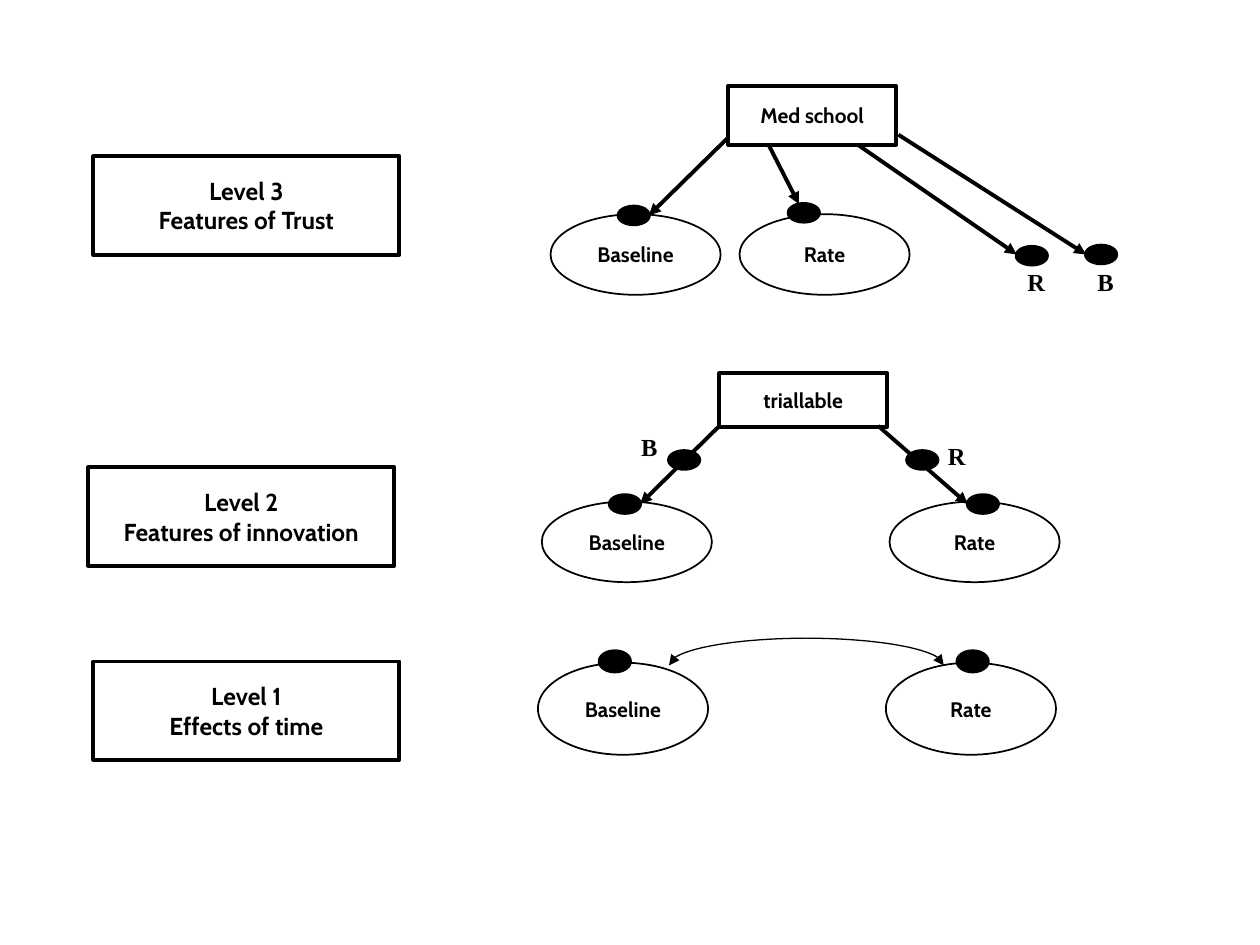
import math
from dataclasses import dataclass

from pptx import Presentation
from pptx.dml.color import RGBColor
from pptx.enum import shapes, text
from pptx.oxml.ns import qn
from pptx.util import Pt
from lxml import etree


@dataclass(frozen=True)
class Theme:
    ink: RGBColor = RGBColor(0, 0, 0)
    font: str = "Cabin"
    letter_font: str = "Times New Roman"
    large: float = 14
    small: float = 12
    heavy: float = 2.25
    medium: float = 1
    thin: float = 0.75


class Diagram:
    """Holds the theme and the slide being drawn; all lengths are points."""

    def __init__(self, slide, theme):
        self.shapes = slide.shapes
        self.theme = theme

    def label(self, sp, words, size, font):
        tf = sp.text_frame
        tf.word_wrap = False
        tf.auto_size = text.MSO_AUTO_SIZE.NONE
        tf.vertical_anchor = text.MSO_ANCHOR.MIDDLE
        tf.text = words
        for p in tf.paragraphs:
            p.alignment = text.PP_ALIGN.CENTER
            p.font.size = Pt(size)
            p.font.name = font
            p.font.bold = True
            p.font.color.rgb = self.theme.ink

    def stroke(self, line, width):
        line.color.rgb = self.theme.ink
        line.width = Pt(width)

    def outline(self, kind, x, y, w, h, width):
        sp = self.shapes.add_shape(kind, Pt(x), Pt(y), Pt(w), Pt(h))
        sp.shadow.inherit = False
        sp.fill.background()
        self.stroke(sp.line, width)
        return sp

    def box(self, words, x, y, w, h, size):
        sp = self.outline(shapes.MSO_SHAPE.RECTANGLE, x, y, w, h, self.theme.heavy)
        self.label(sp, words, size, self.theme.font)

    def outcome(self, words, x, y, h):
        sp = self.outline(shapes.MSO_SHAPE.OVAL, x, y, 97.2, h, self.theme.medium)
        self.label(sp, words, self.theme.small, self.theme.font)

    def dot(self, x, y, h=10.1):
        sp = self.outline(shapes.MSO_SHAPE.OVAL, x, y, 17.3, h, self.theme.heavy)
        sp.fill.solid()
        sp.fill.fore_color.rgb = self.theme.ink

    def letter(self, words, x, y):
        sp = self.shapes.add_textbox(Pt(x), Pt(y), Pt(33.8), Pt(15.1))
        self.label(sp, words, self.theme.large, self.theme.letter_font)

    def arrowhead(self, line):
        etree.SubElement(line._get_or_add_ln(), qn("a:tailEnd"), type="triangle")

    def arrow(self, x1, y1, x2, y2):
        cx = self.shapes.add_connector(
            shapes.MSO_CONNECTOR.STRAIGHT, Pt(x1), Pt(y1), Pt(x2), Pt(y2))
        self.stroke(cx.line, self.theme.heavy)
        self.arrowhead(cx.line)
        etree.SubElement(cx._element.spPr, qn("a:effectLst"))

    def quarter_arc(self, cx, cy, rx, ry, steps=30):
        """Curve from the top of an ellipse to its side; negative rx goes left."""
        angles = [math.pi / 2 * i / steps for i in range(steps + 1)]
        points = [(Pt(cx + rx * math.sin(a)), Pt(cy - ry * math.cos(a))) for a in angles]
        builder = self.shapes.build_freeform(*points[0])
        builder.add_line_segments(points[1:], close=False)
        sp = builder.convert_to_shape()
        sp.shadow.inherit = False
        sp.fill.background()
        self.stroke(sp.line, self.theme.thin)
        self.arrowhead(sp.line)


def main():
    prs = Presentation()
    prs.slide_width, prs.slide_height = Pt(720), Pt(540)
    theme = Theme()
    d = Diagram(prs.slides.add_slide(prs.slide_layouts[6]), theme)

    for words, x, y in (
        ("Level 3\nFeatures of Trust", 53.3, 89.3),
        ("Level 2\nFeatures of innovation", 50.4, 267.1),
        ("Level 1\nEffects of time", 53.3, 378),
    ):
        d.box(words, x, y, 175, 56.2, theme.large)

    # Each level: baseline x, rate x, top and height of the outcome ovals
    for baseline_x, rate_x, y, h in (
        (314.6, 422.6, 122.4, 46.1),
        (309.6, 508.3, 286.6, 46.1),
        (307.4, 506.2, 378.7, 52.6),
    ):
        d.outcome("Baseline", baseline_x, y, h)
        d.outcome("Rate", rate_x, y, h)

    d.box("Med school", 416.2, 49, 95.8, 33.8, theme.small)
    d.box("triallable", 411.1, 213.1, 95.8, 31, theme.small)

    for ends in (
        (416.2, 78.5, 370.8, 123.1),
        (439.2, 82.8, 456.5, 116.6),
        (490.3, 82.8, 581, 145.4),
        (513.4, 77, 620.6, 145.4),
        (411.1, 243.4, 365.8, 288),
        (501.8, 243.4, 553, 288),
    ):
        d.arrow(*ends)

    for rx in (-78.5, 78.5):
        d.quarter_arc(460.8, 380.2, rx, 15.5)

    for x, y in (
        (353.5, 118.1), (450.7, 116.6), (581, 141.1), (620.6, 140.4),
        (382.3, 257.8), (518.4, 257.8), (348.5, 283), (553, 283),
    ):
        d.dot(x, y)
    for x in (342.7, 547.2):
        d.dot(x, 372.2, h=11.5)

    for words, x, y in (
        ("R", 575.3, 153.7), ("B", 614.9, 153.4),
        ("B", 354.2, 247.7), ("R", 529.9, 252.7),
    ):
        d.letter(words, x, y)

    prs.save("out.pptx")


if __name__ == "__main__":
    main()
